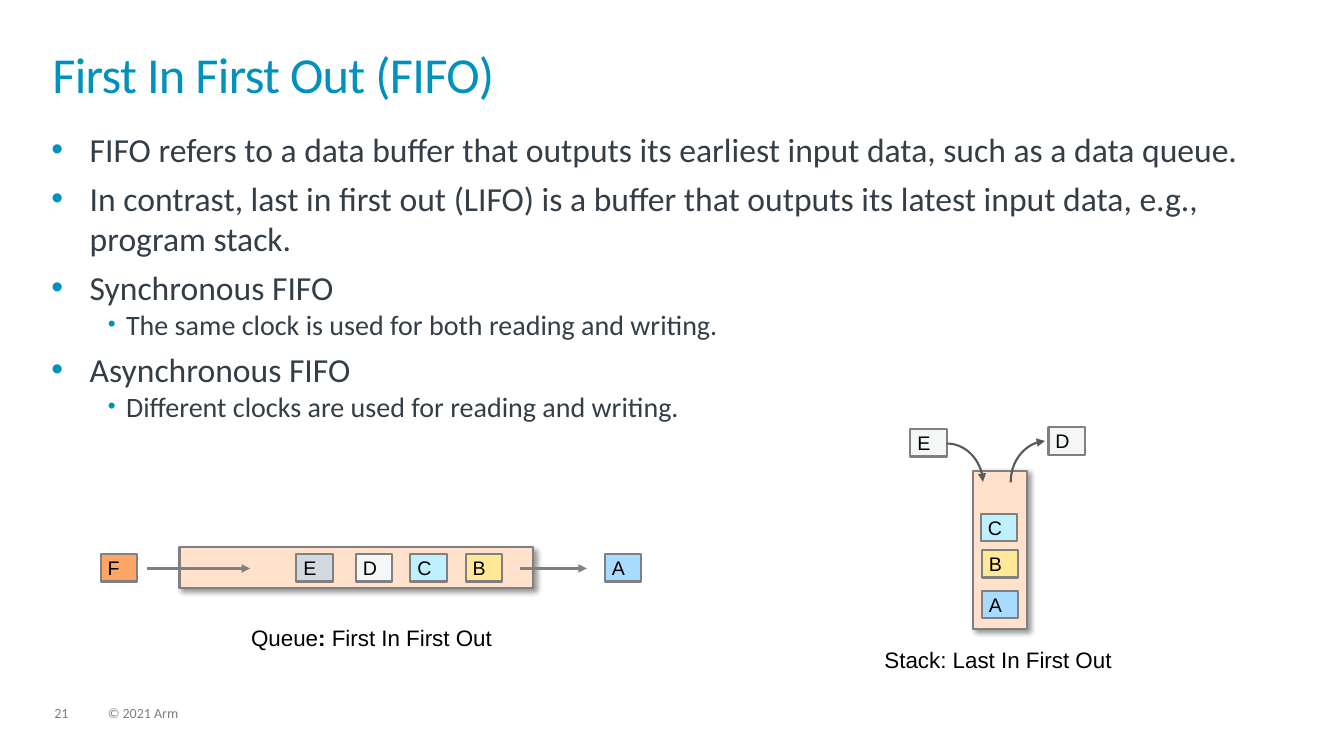
"""Build a slide that explains FIFO queues beside LIFO stacks."""
from dataclasses import dataclass
from typing import NamedTuple

from lxml.etree import SubElement
from pptx import Presentation
from pptx.dml.color import RGBColor
from pptx.enum.shapes import MSO_CONNECTOR, MSO_SHAPE
from pptx.enum.text import PP_ALIGN
from pptx.oxml.ns import qn
from pptx.util import Inches, Pt


@dataclass(frozen=True)
class Theme:
    """Colours, fonts and type sizes."""
    accent: str = "0091BD"
    body: str = "333E48"
    muted: str = "7F7F7F"
    black: str = "000000"
    outline: str = "808080"
    curve: str = "595959"
    buffer: str = "FFE1CC"
    blue: str = "A8DBFF"
    yellow: str = "FFE999"
    cyan: str = "BFF0FF"
    white: str = "F5F7F7"
    grey: str = "D2D9DF"
    orange: str = "FFA666"
    text_font: str = "Calibri"
    label_font: str = "Arial"
    title_size: int = 36
    bullet_sizes: tuple[int, int] = (24, 20)
    caption_size: int = 16
    tile_size: int = 14
    footer_size: int = 10


class Box(NamedTuple):
    """Left, top, width and height in inches."""
    left: float
    top: float
    width: float
    height: float


class Tile(NamedTuple):
    """A data item in or near a buffer."""
    letter: str
    left: float
    top: float
    fill: str


class Bullet(NamedTuple):
    """A body line and its outline level."""
    text: str
    level: int = 0


class Arrow(NamedTuple):
    """An arrow from its first point to its second."""
    x1: float
    y1: float
    x2: float
    y2: float
    color: str
    curved: bool = False
    rotation: int = 0


T = Theme()
QUEUE_TOP = 5.5
BULLETS = [
    Bullet("FIFO refers to a data buffer that outputs its earliest input data, such as a data queue."),
    Bullet("In contrast, last in first out (LIFO) is a buffer that outputs its latest input data, "
           "e.g., program stack."),
    Bullet("Synchronous FIFO"),
    Bullet("The same clock is used for both reading and writing.", 1),
    Bullet("Asynchronous FIFO"),
    Bullet("Different clocks are used for reading and writing.", 1),
]
BUFFERS = [Box(1.78, 5.43, 3.51, 0.4), Box(9.65, 4.67, 0.54, 1.57)]
TILES = [
    Tile("A", 6, QUEUE_TOP, T.blue),
    Tile("B", 4.62, QUEUE_TOP, T.yellow),
    Tile("C", 4.07, QUEUE_TOP, T.cyan),
    Tile("D", 3.53, QUEUE_TOP, T.white),
    Tile("E", 2.94, QUEUE_TOP, T.grey),
    Tile("F", 1, QUEUE_TOP, T.orange),
    Tile("A", 9.74, 5.86, T.blue),
    Tile("B", 9.74, 5.46, T.yellow),
    Tile("C", 9.73, 5.1, T.cyan),
    Tile("D", 10.4, 4.24, T.white),
    Tile("E", 9.03, 4.26, T.white),
]
ARROWS = [
    Arrow(1.46, 5.64, 2.48, 5.64, T.outline),
    Arrow(5.16, 5.64, 5.82, 5.64, T.outline),
    Arrow(9.39, 4.4, 9.75, 4.78, T.curve, True),
    Arrow(10.4, 4.75, 9.99, 4.41, T.curve, True, 90),
]


def add_text(tf, text, *, size, color=T.black, font=T.text_font, bold=None, spacing=None,
             align=None, line=None, before=None, after=None, level=None, new=True):
    """Write a run, in a fresh paragraph unless new is false."""
    p = tf.paragraphs[-1]
    if new and p.runs:
        p = tf.add_paragraph()
    if new and level is not None:
        add_bullet(p, level)
    if new:
        p.alignment, p.line_spacing = align, line
        p.space_before = None if before is None else Pt(before)
        p.space_after = None if after is None else Pt(after)
    r = p.add_run()
    r.text = text
    r.font.size, r.font.name, r.font.bold = Pt(size), font, bold
    r.font.color.rgb = RGBColor.from_string(color)
    if spacing is not None:
        r.font._element.set("spc", str(round(spacing * 100)))


def add_bullet(p, level: int) -> None:
    """Give a paragraph the bullet and indent of its level."""
    margin, hang, scale = ((0.38, 0.38, 100), (0.74, 0.18, 80))[level]
    p.level = level
    ppr = p._p.get_or_add_pPr()
    ppr.set("marL", str(Inches(margin)))
    ppr.set("indent", str(-Inches(hang)))
    SubElement(SubElement(ppr, qn("a:buClr")), qn("a:srgbClr"), val=T.accent)
    SubElement(ppr, qn("a:buSzPct"), val=str(scale * 1000))
    SubElement(ppr, qn("a:buFont"), typeface=T.label_font)
    SubElement(ppr, qn("a:buChar"), char="•")


def add_box(s, box: Box, inset: bool = False):
    """Add a wrapping text box and return its text frame."""
    tf = s.shapes.add_textbox(*map(Inches, box)).text_frame
    tf.word_wrap = True
    if not inset:
        tf.margin_left = tf.margin_top = tf.margin_right = tf.margin_bottom = 0
    return tf


def add_rect(s, box: Box, fill: str, shadow: bool = False) -> None:
    """Add an outlined rectangle, with a soft shadow if asked."""
    sp = s.shapes.add_shape(MSO_SHAPE.RECTANGLE, *map(Inches, box))
    sp.shadow.inherit = False
    sp.fill.solid()
    sp.fill.fore_color.rgb = RGBColor.from_string(fill)
    sp.line.color.rgb = RGBColor.from_string(T.outline)
    sp.line.width = Pt(1.5)
    if shadow:
        effects = sp._element.spPr.find(qn("a:effectLst"))
        outer = SubElement(effects, qn("a:outerShdw"), blurRad=str(Pt(4)), dist=str(Pt(3)),
                           dir=str(45 * 60000), algn="tl", rotWithShape="0")
        color = SubElement(outer, qn("a:srgbClr"), val=T.black)
        SubElement(color, qn("a:alpha"), val="40000")


def add_tile(s, tile: Tile) -> None:
    """Draw a data item and its letter."""
    add_rect(s, Box(tile.left, tile.top, 0.36, 0.27), tile.fill)
    tf = add_box(s, Box(tile.left - 0.03, tile.top - 0.03, 0.45, 0.34), inset=True)
    add_text(tf, tile.letter, size=T.tile_size, font=T.label_font)


def add_arrow(s, arrow: Arrow) -> None:
    """Draw a straight or quarter-turn arrow."""
    kind = MSO_CONNECTOR.CURVE if arrow.curved else MSO_CONNECTOR.STRAIGHT
    sp = s.shapes.add_connector(kind, *map(Inches, arrow[:4]))
    sp.line.color.rgb = RGBColor.from_string(arrow.color)
    sp.line.width = Pt(1.5)
    spPr = sp._element.spPr
    SubElement(spPr.find(qn("a:ln")), qn("a:tailEnd"), type="triangle", w="med", len="med")
    SubElement(spPr, qn("a:effectLst"))
    if arrow.curved:
        spPr.find(qn("a:prstGeom")).set("prst", "curvedConnector2")
        spPr.find(qn("a:xfrm")).set("rot", str(arrow.rotation * 60000))


def main() -> None:
    """Compose the slide and save it."""
    prs = Presentation()
    prs.slide_width, prs.slide_height = Inches(13.33), Inches(7.5)
    s = prs.slides.add_slide(prs.slide_layouts[6])
    for left, width, text in ((0.54, 0.34, "21"), (1.07, 5.07, "© 2021 Arm")):
        add_text(add_box(s, Box(left, 7.01, width, 0.15)), text, size=T.footer_size,
                 color=T.muted, line=0.9, after=6)
    add_text(add_box(s, Box(0.52, 0.52, 12.28, 0.72)), "First In First Out (FIFO)",
             size=T.title_size, color=T.accent, line=0.85, spacing=-0.5)
    tf = add_box(s, Box(0.51, 1.28, 12.09, 4.47))
    for i, bullet in enumerate(BULLETS):
        add_text(tf, bullet.text, size=T.bullet_sizes[bullet.level], color=T.body,
                 level=bullet.level, before=6 if i and not bullet.level else 0)
    for box in BUFFERS:
        add_rect(s, box, T.buffer, shadow=True)
    for tile in TILES:
        add_tile(s, tile)
    for arrow in ARROWS:
        add_arrow(s, arrow)
    caption = dict(size=T.caption_size, font=T.label_font, align=PP_ALIGN.CENTER)
    tf = add_box(s, Box(1.74, 6.14, 3.89, 0.37), inset=True)
    add_text(tf, "Queue", **caption)
    add_text(tf, ": ", bold=True, new=False, **caption)
    add_text(tf, "First In First Out", new=False, **caption)
    tf = add_box(s, Box(8.07, 6.36, 3.66, 0.37), inset=True)
    add_text(tf, "Stack: Last In First Out", **caption)
    prs.save("out.pptx")


if __name__ == "__main__":
    main()
